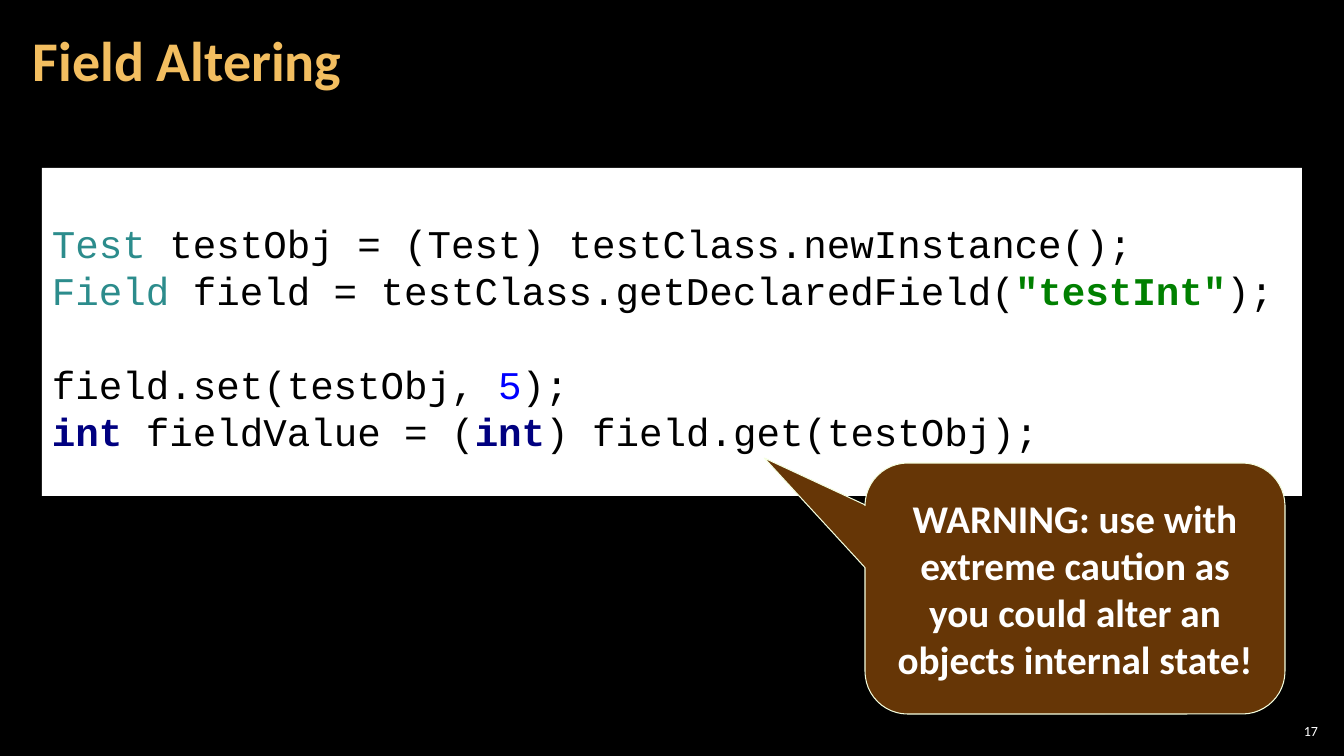
from pptx import Presentation
from pptx.dml.color import RGBColor
from pptx.enum.shapes import MSO_SHAPE
from pptx.enum.text import MSO_ANCHOR, MSO_AUTO_SIZE, PP_ALIGN
from pptx.util import Pt

RECTANGLE = MSO_SHAPE.RECTANGLE
CALLOUT = MSO_SHAPE.ROUNDED_RECTANGULAR_CALLOUT
MIDDLE = MSO_ANCHOR.MIDDLE
NO_AUTOFIT = MSO_AUTO_SIZE.NONE
LEFT, CENTER, RIGHT = PP_ALIGN.LEFT, PP_ALIGN.CENTER, PP_ALIGN.RIGHT

EMU_PER_PX = 914400 / 100.8
COLORS = {
    "background": "000000",
    "title": "F3BE60",
    "white": "FFFFFF",
    "plain": "000000",
    "type": "2C8C8C",
    "string": "008000",
    "number": "0000FF",
    "keyword": "000080",
    "warning": "663606",
    "outline": "F5FFE0",
}
BOLD_CODE = {"string", "keyword"}
CODE_LINE = Pt(33.6)


def px(*lengths):
    return [round(length * EMU_PER_PX) for length in lengths]


def add_run(paragraph, text, font_name, size, color, bold=False):
    run = paragraph.add_run()
    run.text = text
    run.font.name = font_name
    run.font.size = Pt(size)
    run.font.bold = bold
    run.font.color.rgb = RGBColor.from_string(COLORS[color])


presentation = Presentation()
presentation.slide_width, presentation.slide_height = px(1344, 756)
slide = presentation.slides.add_slide(presentation.slide_layouts[5])
slide.background.fill.solid()
slide.background.fill.fore_color.rgb = RGBColor.from_string(COLORS["background"])

title = slide.shapes.title
title.left, title.top, title.width, title.height = px(21, 4, 1055, 122)
title_frame = title.text_frame
title_frame.auto_size = NO_AUTOFIT
title_frame.vertical_anchor = MIDDLE
title_frame.margin_left, title_frame.margin_right = px(12, 12)
title_frame.margin_top, title_frame.margin_bottom = px(4, 4)
title_paragraph = title_frame.paragraphs[0]
title_paragraph.alignment = LEFT
title_paragraph.line_spacing = Pt(40)
add_run(title_paragraph, "Field Altering", "Calibri", 40, "title", True)

page_number = slide.shapes.add_textbox(*px(1275, 720, 47, 21))
page_frame = page_number.text_frame
page_frame.word_wrap = True
page_frame.vertical_anchor = MIDDLE
page_frame.margin_left, page_frame.margin_right = px(4, 4)
page_frame.margin_top, page_frame.margin_bottom = px(4, 4)
page_frame.paragraphs[0].alignment = RIGHT
add_run(page_frame.paragraphs[0], "17", "Calibri", 10, "white")

code_box = slide.shapes.add_shape(RECTANGLE, *px(42, 168, 1260, 328))
code_box.shadow.inherit = False
code_box.fill.solid()
code_box.fill.fore_color.rgb = RGBColor.from_string(COLORS["white"])
code_box.line.fill.background()
code_frame = code_box.text_frame
code_frame.word_wrap = True
code_frame.vertical_anchor = MIDDLE
code_frame.margin_left, code_frame.margin_top = px(10, 15)

code_blocks = [
    [
        [("Test ", "type"), ("testObj = (Test) testClass.newInstance();", "plain")],
        [
            ("Field ", "type"),
            ("field = testClass.getDeclaredField(", "plain"),
            ('"testInt"', "string"),
            (");", "plain"),
        ],
    ],
    [
        [("field.set(testObj, ", "plain"), ("5", "number"), (");", "plain")],
        [
            ("int ", "keyword"),
            ("fieldValue = (", "plain"),
            ("int", "keyword"),
            (") field.get(testObj);", "plain"),
        ],
    ],
]
for block_index, block in enumerate(code_blocks):
    if block_index == 0:
        paragraph = code_frame.paragraphs[0]
    else:
        paragraph = code_frame.add_paragraph()
        paragraph.space_before = CODE_LINE
    paragraph.alignment = LEFT
    paragraph.line_spacing = CODE_LINE
    for line_index, line in enumerate(block):
        if line_index > 0:
            paragraph.add_line_break()
        for text, color in line:
            add_run(paragraph, text, "Courier New", 28, color, color in BOLD_CODE)

warning = slide.shapes.add_shape(CALLOUT, *px(865, 463, 420, 251))
for index, value in enumerate([-0.74, -0.52, 0.17]):
    warning.adjustments[index] = value
warning.shadow.inherit = False
warning.fill.solid()
warning.fill.fore_color.rgb = RGBColor.from_string(COLORS["warning"])
warning.line.color.rgb = RGBColor.from_string(COLORS["outline"])
warning.line.width = Pt(0.75)
warning_frame = warning.text_frame
warning_frame.word_wrap = True
warning_frame.vertical_anchor = MIDDLE
warning_paragraph = warning_frame.paragraphs[0]
warning_paragraph.alignment = CENTER
warning_text = "WARNING: use with extreme caution as you could alter an objects internal state!"
add_run(warning_paragraph, warning_text, "Calibri", 28, "white", True)

presentation.save("out.pptx")
